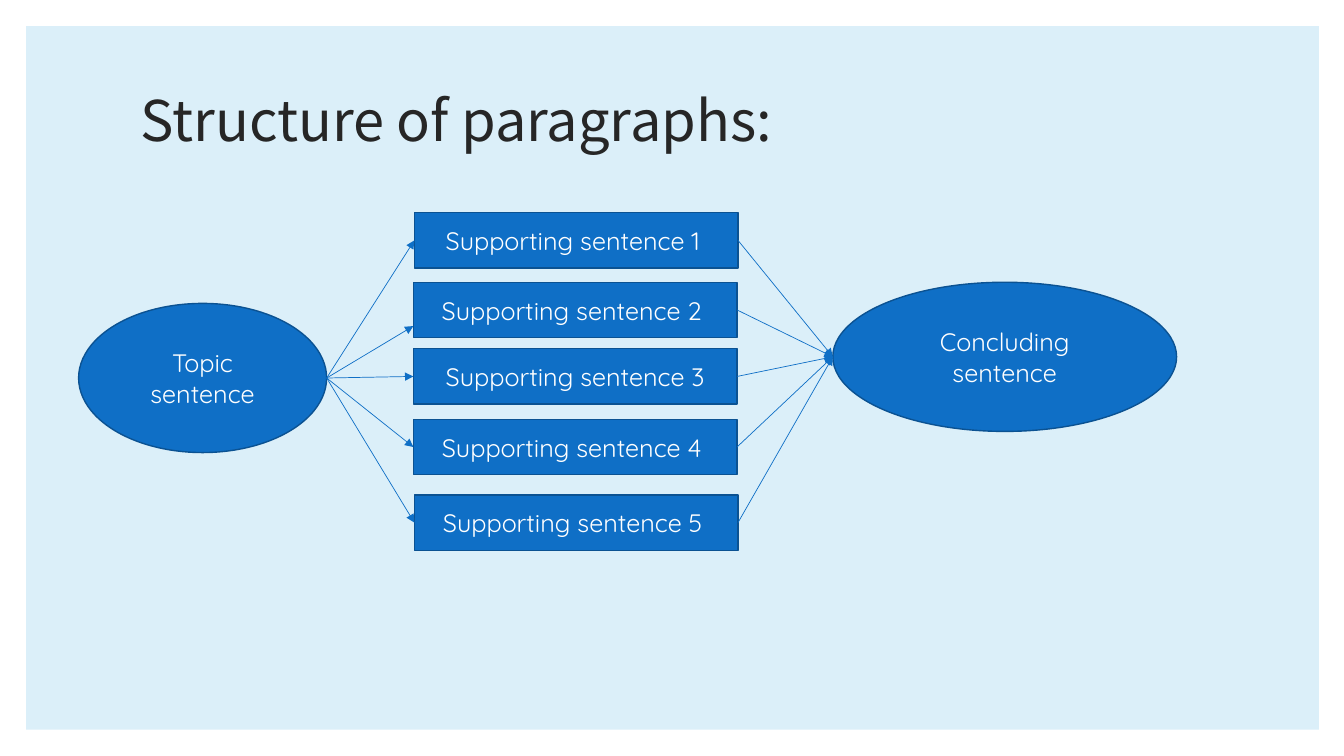
"""Build a slide that shows how the sentences of a paragraph fit together."""
from dataclasses import dataclass

from lxml import etree
from pptx import Presentation
from pptx import util as u
from pptx.dml import color
from pptx.enum import shapes, text
from pptx.oxml import ns


@dataclass(frozen=True)
class Theme:
    panel: str = "DBEFF9"
    fill: str = "0F6FC6"
    edge: str = "0B5292"
    title: str = "262626"
    label: str = "FFFFFF"
    title_font: str = "Noto Sans CJK SC"
    label_font: str = "Quicksand"
    title_size: float = 40
    label_size: float = 18
    edge_width: float = 1
    arrow_width: float = 0.5


@dataclass(frozen=True)
class Node:
    label: str
    left: float
    top: float
    width: float
    height: float
    kind: shapes.MSO_SHAPE = shapes.MSO_SHAPE.RECTANGLE
    arrow_drop: float = 0

    @property
    def middle(self) -> float:
        return self.top + self.height / 2

    @property
    def entry(self) -> tuple[float, float]:
        return self.left, self.middle + self.arrow_drop

    @property
    def exit(self) -> tuple[float, float]:
        return self.left + self.width, self.middle


THEME = Theme()
OVAL = shapes.MSO_SHAPE.OVAL
PANEL = Node("", 0.26, 0.26, 12.82, 6.98)
TOPIC = Node("Topic sentence", 0.78, 3.01, 2.46, 1.48, OVAL)
CONCLUSION = Node("Concluding sentence", 8.26, 2.8, 3.41, 1.48, OVAL)
SUPPORT = [
    Node(label, left, top, 3.21, 0.55, arrow_drop=drop)
    for label, left, top, drop in (
        ("Supporting sentence 1 ", 4.11, 2.11, 0),
        ("Supporting sentence 2 ", 4.1, 2.8, 0.16),
        ("Supporting sentence 3", 4.1, 3.46, 0),
        ("Supporting sentence 4 ", 4.1, 4.16, 0),
        ("Supporting sentence 5 ", 4.11, 4.91, 0),
    )
]


def rgb(value: str) -> color.RGBColor:
    return color.RGBColor.from_string(value)


def add_span(para, words: str, font: str, size: float, tint: str) -> None:
    span = para.add_run()
    span.text = words
    span.font.name = font
    span.font.size = u.Pt(size)
    span.font.color.rgb = rgb(tint)


def add_box(page, node: Node, fill: str):
    place = map(u.Inches, (node.left, node.top, node.width, node.height))
    box = page.shapes.add_shape(node.kind, *place)
    box.shadow.inherit = False
    box.fill.solid()
    box.fill.fore_color.rgb = rgb(fill)
    return box


def add_panel(page) -> None:
    panel = add_box(page, PANEL, THEME.panel)
    panel.line.fill.background()
    page.shapes.title.element.addprevious(panel.element)


def add_node(page, node: Node) -> None:
    box = add_box(page, node, THEME.fill)
    box.line.color.rgb = rgb(THEME.edge)
    box.line.width = u.Pt(THEME.edge_width)
    frame = box.text_frame
    frame.word_wrap = True
    frame.vertical_anchor = text.MSO_ANCHOR.MIDDLE
    para = frame.paragraphs[0]
    para.alignment = text.PP_ALIGN.CENTER
    add_span(para, node.label, THEME.label_font, THEME.label_size, THEME.label)


def add_arrow(page, start: tuple[float, float], end: tuple[float, float]) -> None:
    arrow = page.shapes.add_connector(
        shapes.MSO_CONNECTOR.STRAIGHT, *map(u.Inches, start + end)
    )
    arrow.line.color.rgb = rgb(THEME.fill)
    arrow.line.width = u.Pt(THEME.arrow_width)
    line = arrow.line.fill.fore_color and arrow.element.spPr.find(ns.qn("a:ln"))
    etree.SubElement(line, ns.qn("a:tailEnd"), type="triangle")
    etree.SubElement(arrow.element.spPr, ns.qn("a:effectLst"))


def format_title(page, words: str) -> None:
    title = page.shapes.title
    title.left, title.top = u.Inches(1.17), u.Inches(0.7)
    title.width, title.height = u.Inches(10.33), u.Inches(1.04)
    frame = title.text_frame
    frame.word_wrap = True
    frame.auto_size = text.MSO_AUTO_SIZE.NONE
    frame.vertical_anchor = text.MSO_ANCHOR.MIDDLE
    para = frame.paragraphs[0]
    para.alignment = text.PP_ALIGN.LEFT
    para.line_spacing = 0.9
    add_span(para, words, THEME.title_font, THEME.title_size, THEME.title)


def main() -> None:
    deck = Presentation()
    deck.slide_width, deck.slide_height = u.Inches(13.33), u.Inches(7.5)
    page = deck.slides.add_slide(deck.slide_layouts[5])
    add_panel(page)
    format_title(page, " Structure of paragraphs:")
    for node in (TOPIC, *SUPPORT, CONCLUSION):
        add_node(page, node)
    for node in SUPPORT:
        add_arrow(page, TOPIC.exit, node.entry)
        add_arrow(page, node.exit, CONCLUSION.entry)
    deck.save("out.pptx")


if __name__ == "__main__":
    main()
